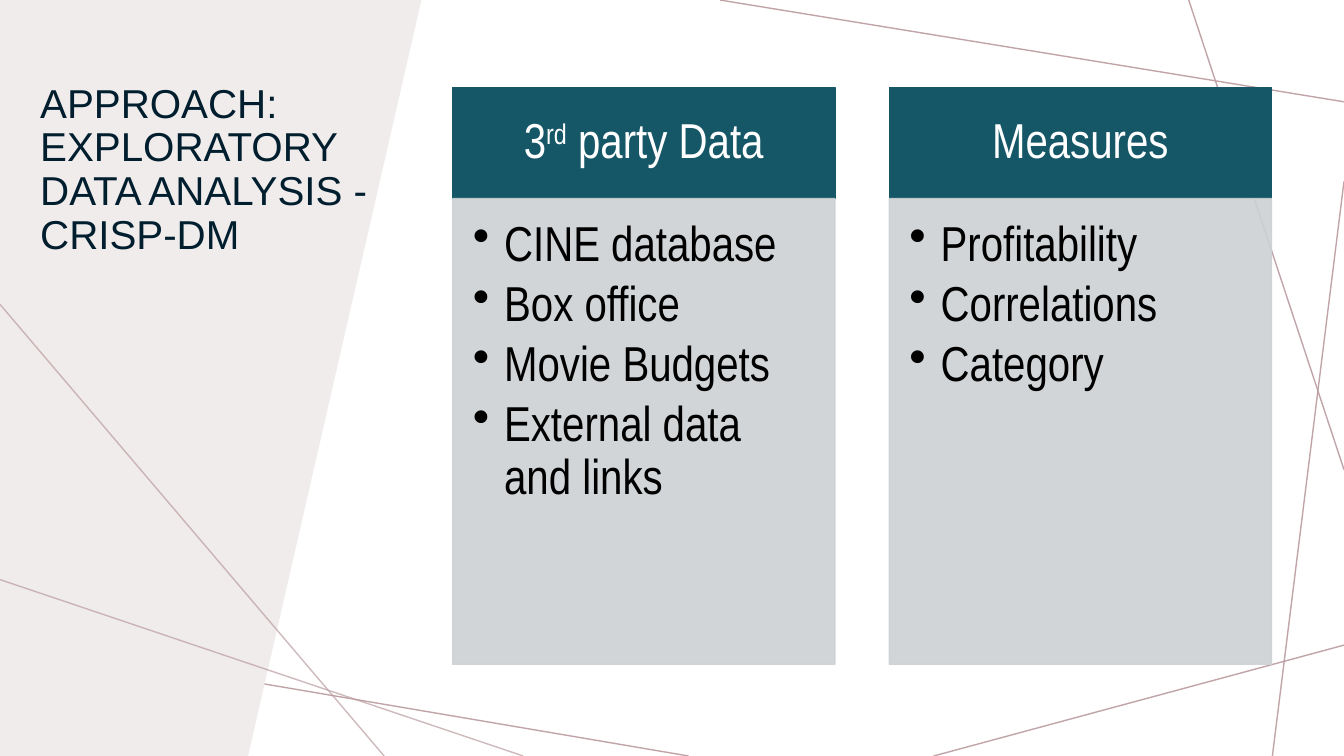
from lxml import etree
from pptx import Presentation
from pptx.dml.color import RGBColor
from pptx.enum.shapes import MSO_CONNECTOR, MSO_SHAPE
from pptx.enum.text import MSO_ANCHOR, PP_ALIGN
from pptx.oxml.ns import qn
from pptx.util import Inches, Pt

RECTANGLE = MSO_SHAPE.RECTANGLE
STRAIGHT = MSO_CONNECTOR.STRAIGHT
TOP, MIDDLE = MSO_ANCHOR.TOP, MSO_ANCHOR.MIDDLE
LEFT, CENTER = PP_ALIGN.LEFT, PP_ALIGN.CENTER

WHITE = RGBColor(0xFF, 0xFF, 0xFF)
BLACK = RGBColor(0, 0, 0)
NAVY = RGBColor(0x00, 0x1E, 0x2E)
TEAL = RGBColor(0x15, 0x57, 0x67)
GREY = RGBColor(0xCC, 0xD1, 0xD3)
ROSE = RGBColor(0xBA, 0x9C, 0xA0)
BLUSH = RGBColor(0xF0, 0xEC, 0xEC)

SLIDE_W, SLIDE_H = 13.33, 7.5
COLUMN_LEFT, COLUMN_W, COLUMN_PITCH = 4.49, 3.79, 4.33
HEADER_TOP, HEADER_H, BODY_H = 0.87, 1.1, 4.62
HEADER_INSETS = (0.27, 0.16, 0.27, 0.16)
BODY_INSETS = (0.2, 0.2, 0.27, 0.31)
BULLET_INDENT = Inches(0.31)

BACK_LINES = [
    (6.83, SLIDE_H, 0, 6.34),
    (SLIDE_W, 6.4, 9.26, SLIDE_H),
    (SLIDE_W, 1.8, 12.62, SLIDE_H),
    (SLIDE_W, 4.66, 11.79, 0),
    (SLIDE_W, 1.01, 7.14, 0),
]
FRONT_LINES = [(0, 3.02, 3.81, SLIDE_H), (5.19, SLIDE_H, 0, 5.75)]
WEDGE = [(0, 0), (4.18, 0), (2.46, SLIDE_H), (0, SLIDE_H)]

COLUMNS = [
    ([("3", False), ("rd", True), (" party Data", False)],
     ["CINE database", "Box office", "Movie Budgets", "External data and links"]),
    ([("Measures", False)],
     ["Profitability", "Correlations", "Category"]),
]


def set_opacity(element, percent):
    for color in element.iter(qn("a:srgbClr")):
        etree.SubElement(color, qn("a:alpha")).set("val", str(percent * 1000))


def add_accent_line(slide, ends, opacity):
    accent = slide.shapes.add_connector(STRAIGHT, *map(Inches, ends))
    accent.line.color.rgb = ROSE
    accent.line.width = Pt(1)
    properties = accent._element.spPr
    set_opacity(properties, opacity)
    etree.SubElement(properties, qn("a:effectLst"))


def add_wedge(slide):
    start, *corners = [tuple(map(Inches, corner)) for corner in WEDGE]
    outline = slide.shapes.build_freeform(*start)
    outline.add_line_segments(corners)
    wedge = outline.convert_to_shape()
    wedge.shadow.inherit = False
    wedge.fill.solid()
    wedge.fill.fore_color.rgb = BLUSH
    wedge.line.fill.background()


def format_paragraph(paragraph, font_name, size, color, align=LEFT):
    paragraph.alignment = align
    paragraph.line_spacing = 0.9
    for run in paragraph.runs:
        run.font.name = font_name
        run.font.size = Pt(size)
        run.font.color.rgb = color


def add_title(slide):
    title = slide.shapes.add_textbox(*map(Inches, (0.3, 0.78, 3.51, 2.31)))
    frame = title.text_frame
    frame.word_wrap = True
    frame.text = "APPROACH: \vEXPLORATORY DATA ANALYSIS -\vCRISP-DM"
    format_paragraph(frame.paragraphs[0], "Arial", 28.8, NAVY)


def add_panel(slide, left, top, height, color, insets, anchor):
    panel = slide.shapes.add_shape(
        RECTANGLE, *map(Inches, (left, top, COLUMN_W, height)))
    panel.shadow.inherit = False
    panel.fill.solid()
    panel.fill.fore_color.rgb = color
    panel.line.color.rgb = color
    panel.line.width = Pt(1)
    frame = panel.text_frame
    frame.word_wrap = True
    frame.vertical_anchor = anchor
    (frame.margin_left, frame.margin_top,
     frame.margin_right, frame.margin_bottom) = map(Inches, insets)
    return panel


def add_header(slide, left, heading):
    header = add_panel(slide, left, HEADER_TOP, HEADER_H, TEAL, HEADER_INSETS, MIDDLE)
    paragraph = header.text_frame.paragraphs[0]
    for text, raised in heading:
        run = paragraph.add_run()
        run.text = text
        if raised:
            run._r.get_or_add_rPr().set("baseline", "30000")
    format_paragraph(paragraph, "Arial Narrow", 35, WHITE, CENTER)


def add_bullet_list(slide, left, items):
    body = add_panel(slide, left, HEADER_TOP + HEADER_H, BODY_H, GREY, BODY_INSETS, TOP)
    set_opacity(body._element.spPr, 90)
    body.text_frame.text = "\n".join(items)
    for paragraph in body.text_frame.paragraphs:
        format_paragraph(paragraph, "Arial Narrow", 35, BLACK)
        paragraph.space_after = Pt(5.25)
        properties = paragraph._p.get_or_add_pPr()
        properties.set("marL", str(BULLET_INDENT))
        properties.set("indent", str(-BULLET_INDENT))
        etree.SubElement(properties, qn("a:buChar")).set("char", "•")


def main():
    deck = Presentation()
    deck.slide_width, deck.slide_height = Inches(SLIDE_W), Inches(SLIDE_H)
    slide = deck.slides.add_slide(deck.slide_layouts[6])
    for ends in BACK_LINES:
        add_accent_line(slide, ends, 91)
    add_wedge(slide)
    add_title(slide)
    for ends in FRONT_LINES:
        add_accent_line(slide, ends, 70)
    for index, (heading, items) in enumerate(COLUMNS):
        left = COLUMN_LEFT + index * COLUMN_PITCH
        add_header(slide, left, heading)
        add_bullet_list(slide, left, items)
    deck.save("out.pptx")


if __name__ == "__main__":
    main()
